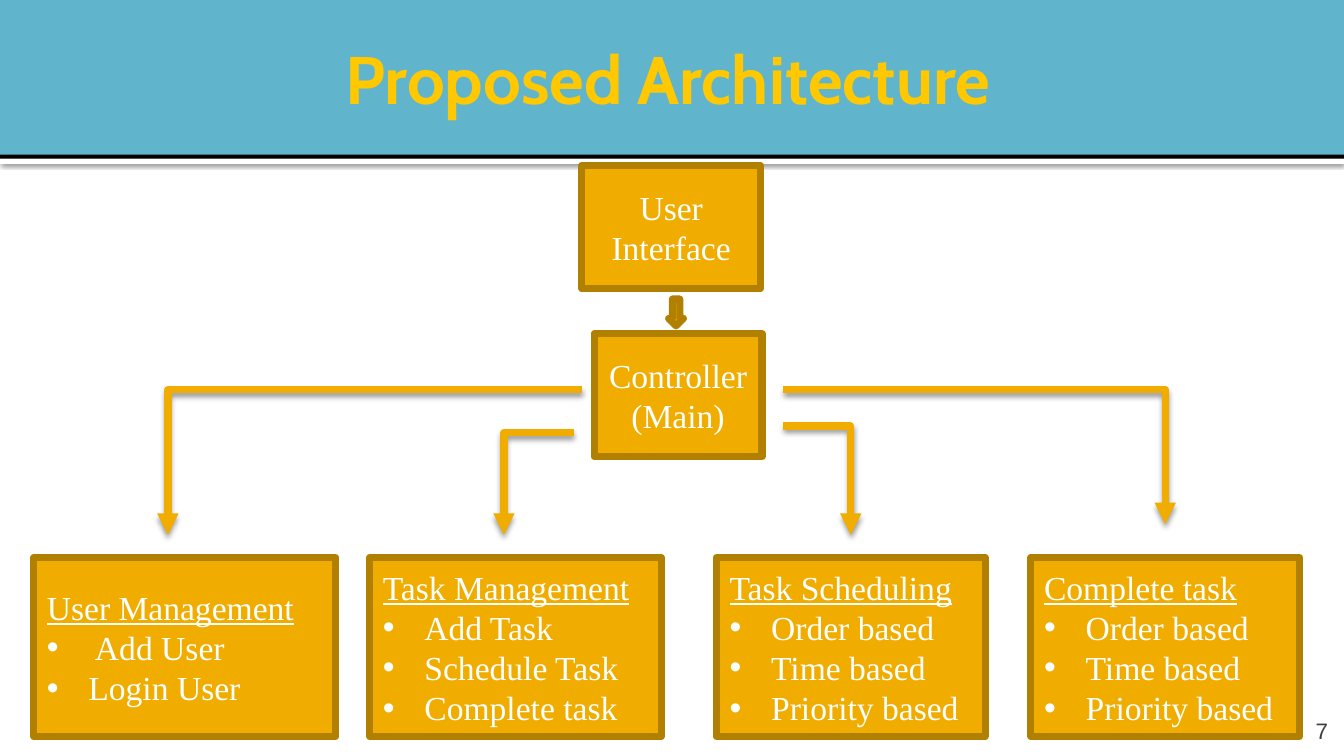
from lxml import etree
from pptx import Presentation
from pptx.dml.color import RGBColor
from pptx.enum.shapes import MSO_CONNECTOR, MSO_SHAPE as Preset
from pptx.enum.text import MSO_ANCHOR as Anchor, MSO_AUTO_SIZE, PP_ALIGN as Align
from pptx.oxml.ns import qn
from pptx.util import Inches, Pt

COLORS = {
    "banner": "60B5CC", "title": "FFC800", "rule": "000000", "paper": "FFFFFF",
    "box": "F0AD00", "edge": "B28000", "text": "FFFFFF", "number": "3F3F3F",
}
BOX_FONT = "Times New Roman"
BULLET_INDENT = Inches(0.31)

# heading, bullets, left, width
MODULES = [
    ("User Management", [" Add User", "Login User"], 0.25, 2.25),
    ("Task Management", ["Add Task", "Schedule Task", "Complete task"], 2.75, 2.17),
    ("Task Scheduling", ["Order based", "Time based", "Priority based"], 5.33, 2),
    ("Complete task", ["Order based", "Time based", "Priority based"], 7.67, 2),
]
# start and arrow tip of each route from the controller to a module
ROUTES = [
    ((5.83, 2.9), (8.67, 3.9)),
    ((4.33, 2.9), (1.25, 3.98)),
    ((4.27, 3.22), (3.75, 3.98)),
    ((5.83, 3.17), (6.33, 3.98)),
]


def rgb(name):
    return RGBColor.from_string(COLORS[name])


def format_runs(paragraph, font, size, color, **flags):
    for run in paragraph.runs:
        run.font.name = font
        run.font.size = Pt(size)
        run.font.color.rgb = rgb(color)
        for flag, value in flags.items():
            setattr(run.font, flag, value)


def add_shadow(shape, blur, distance, opacity):
    """Give the shape a soft shadow that falls straight down."""
    effects = etree.SubElement(shape._element.spPr, qn("a:effectLst"))
    shadow = etree.SubElement(effects, qn("a:outerShdw"), blurRad=str(Pt(blur)),
                              dist=str(Pt(distance)), dir="5400000", rotWithShape="0")
    black = etree.SubElement(shadow, qn("a:srgbClr"), val=COLORS["rule"])
    etree.SubElement(black, qn("a:alpha"), val=str(opacity * 1000))


def add_filled(slide, preset, box, fill, edge=None):
    shape = slide.shapes.add_shape(preset, *map(Inches, box))
    shape.fill.solid()
    shape.fill.fore_color.rgb = rgb(fill)
    if edge:
        shape.line.color.rgb = rgb(edge)
        shape.line.width = Pt(3.78)
    else:
        shape.line.fill.background()
    return shape


def add_header(slide, box):
    left, top, width, height = box
    strip = add_filled(slide, Preset.RECTANGLE, (left, top + height + 0.03, width, 0.04), "paper")
    add_shadow(strip, 2.5, 0.8, 60)
    rule = add_filled(slide, Preset.RECTANGLE, (left, top, width, height + 0.03), "rule")
    rule.shadow.inherit = False

    title = slide.shapes.title
    rule._element.addnext(title._element)  # the title lies above the rule
    title.left, title.top, title.width, title.height = map(Inches, box)
    title.fill.solid()
    title.fill.fore_color.rgb = rgb("banner")
    frame = title.text_frame
    frame.text = "Proposed Architecture "
    frame.auto_size = MSO_AUTO_SIZE.NONE
    frame.vertical_anchor = Anchor.MIDDLE
    frame.margin_left = Inches(0.1)
    frame.margin_top = frame.margin_right = frame.margin_bottom = Inches(0.05)
    frame.paragraphs[0].alignment = Align.CENTER
    format_runs(frame.paragraphs[0], "Cabin", 36, "title", bold=True)


def add_box(slide, box, heading):
    shape = add_filled(slide, Preset.RECTANGLE, box, "box", "edge")
    shape.shadow.inherit = False
    frame = shape.text_frame
    frame.word_wrap = True
    frame.vertical_anchor = Anchor.MIDDLE
    frame.text = heading
    frame.paragraphs[0].alignment = Align.CENTER
    format_runs(frame.paragraphs[0], BOX_FONT, 18, "text")
    return frame


def add_module(slide, box, heading, items):
    frame = add_box(slide, box, heading)
    title = frame.paragraphs[0]
    title.alignment = Align.LEFT
    title.runs[0].font.underline = True
    for item in items:
        bullet = frame.add_paragraph()
        bullet.text = item
        bullet.alignment = Align.LEFT
        format_runs(bullet, BOX_FONT, 18, "text")
        props = bullet._p.get_or_add_pPr()
        props.set("marL", str(BULLET_INDENT))
        props.set("indent", str(-BULLET_INDENT))
        etree.SubElement(props, qn("a:buFont"), typeface="Arial")
        etree.SubElement(props, qn("a:buChar"), char="•")


def add_route(slide, start, tip):
    """Run sideways from the start, then down to the arrow tip."""
    route = slide.shapes.add_connector(MSO_CONNECTOR.ELBOW, *map(Inches, start + tip))
    route.line.color.rgb = rgb("box")
    route.line.width = Pt(3.82)
    etree.SubElement(route.line._get_or_add_ln(), qn("a:tailEnd"), type="triangle")
    bend = route._element.spPr.find(qn("a:prstGeom")).find(qn("a:avLst"))
    etree.SubElement(bend, qn("a:gd"), name="adj1", fmla="val 100000")
    add_shadow(route, 3.1, 2, 38)


def add_page_number(slide, box, number):
    frame = slide.shapes.add_textbox(*map(Inches, box)).text_frame
    frame.word_wrap = True
    frame.vertical_anchor = Anchor.BOTTOM
    frame.margin_bottom = 0
    frame.text = number
    frame.paragraphs[0].alignment = Align.RIGHT
    format_runs(frame.paragraphs[0], "Arial", 12, "number")


def main():
    deck = Presentation()
    deck.slide_width = Inches(10)
    deck.slide_height = deck.slide_width * 9 // 16
    slide = deck.slides.add_slide(deck.slide_layouts[5])

    add_header(slide, (0, 0, 10, 1.15))

    # Interface and controller
    add_box(slide, (4.33, 1.23, 1.33, 0.92), "User Interface")
    down = add_filled(slide, Preset.RIGHT_ARROW, (4.93, 2.27, 0.2, 0.11), "box", "edge")
    down.shadow.inherit = False
    down.rotation = 90
    add_box(slide, (4.42, 2.48, 1.25, 0.92), "Controller (Main)")

    # Modules and the routes to them
    for heading, items, left, width in MODULES:
        add_module(slide, (left, 4.15, width, 1.33), heading, items)
    for start, tip in ROUTES:
        add_route(slide, start, tip)

    add_page_number(slide, (9.18, 5.31, 0.8, 0.23), "7")
    deck.save("out.pptx")


if __name__ == "__main__":
    main()
